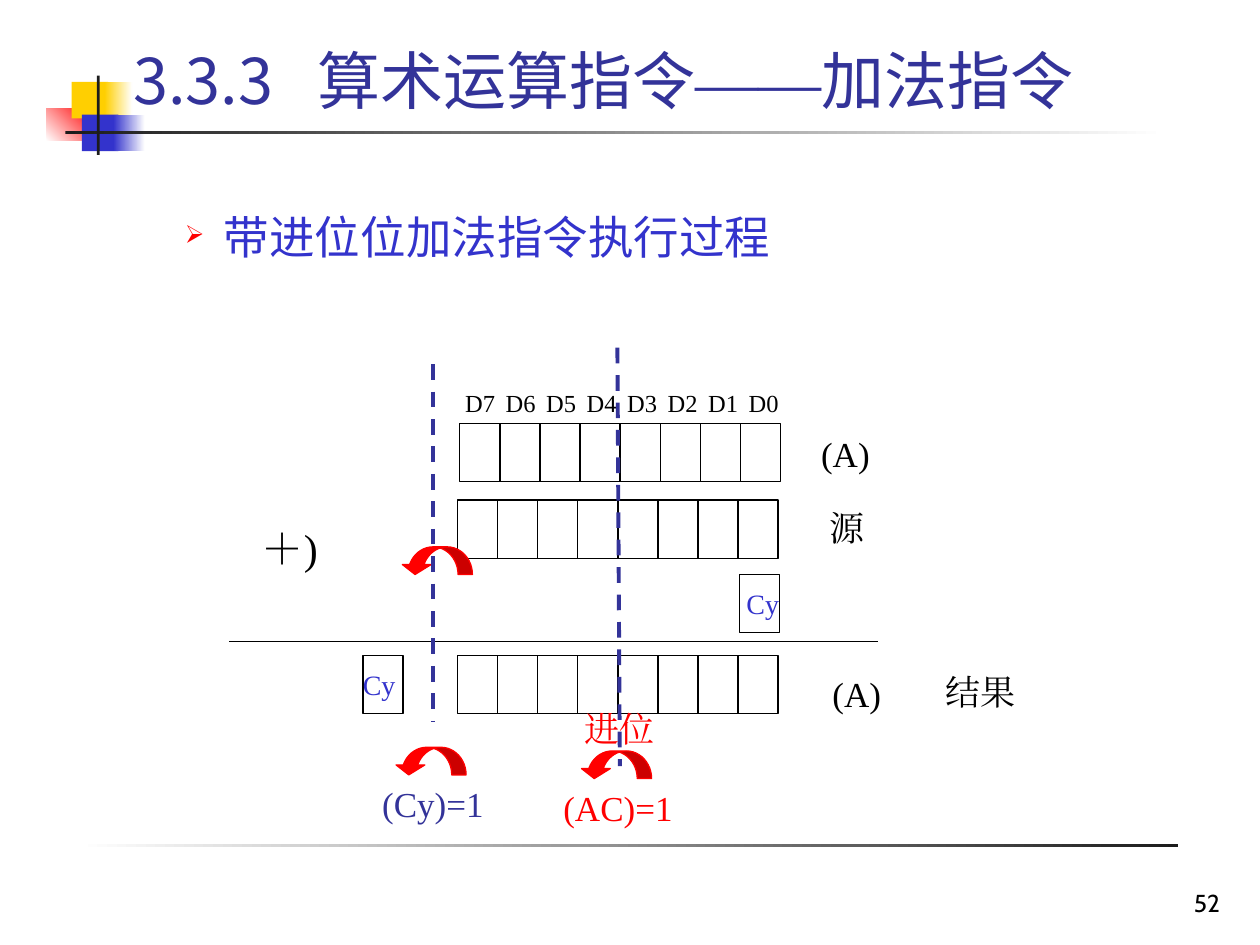
from typing import NamedTuple, Optional

from pptx import Presentation
from pptx.dml.color import RGBColor
from pptx.enum.dml import MSO_LINE
from pptx.enum.shapes import MSO_CONNECTOR, MSO_SHAPE
from pptx.enum.text import MSO_ANCHOR, MSO_AUTO_SIZE, PP_ALIGN
from pptx.oxml.xmlchemy import OxmlElement
from pptx.util import Pt

RECT, ARC_ARROW = MSO_SHAPE.RECTANGLE, MSO_SHAPE.CURVED_DOWN_ARROW
STRAIGHT, DASH = MSO_CONNECTOR.STRAIGHT, MSO_LINE.DASH
LEFT, CENTER, RIGHT = PP_ALIGN.LEFT, PP_ALIGN.CENTER, PP_ALIGN.RIGHT
TOP, MIDDLE, BOTTOM = MSO_ANCHOR.TOP, MSO_ANCHOR.MIDDLE, MSO_ANCHOR.BOTTOM
NO_FIT = MSO_AUTO_SIZE.NONE

SERIF, SANS, CJK = "Times New Roman", "Cabin", "Noto Sans CJK JP"
COLORS = {"white": "FFFFFF", "black": "000000", "ink": "1C1C1C", "red": "FF0000",
          "yellow": "FFCF01", "blue": "3333CC", "navy": "333399"}
BITS = 8
CELL_W, CELL_H = 22.9, 33.2


class Bar(NamedTuple):
    x: float
    y: float
    w: float
    h: float
    start: str
    end: Optional[str] = None
    angle: float = 0


class Label(NamedTuple):
    text: str
    x: float
    y: float
    w: float
    h: float = 31.5
    size: float = 20
    color: str = "black"


class Line(NamedTuple):
    x1: float
    y1: float
    x2: float
    y2: float
    color: str
    width: float
    dashed: bool = False


DECOR = [
    Bar(26.6, 61.9, 27.4, 18.7, "white", "red", 45),
    Bar(41, 46.8, 20.9, 20.9, "yellow"),
    Bar(59.8, 46.8, 15.8, 20.9, "yellow", "white"),
    Bar(46.8, 65.5, 20.9, 20.9, "blue"),
    Bar(64.8, 65.5, 18, 20.9, "blue", "white"),
    Bar(37.4, 74.9, 628.6, 1.5, "ink", "white"),
    Bar(55.4, 43.2, 1.5, 45.4, "ink"),
    Bar(44.6, 482.4, 628.6, 1.5, "white", "ink"),
]
REGISTERS = [(262.8, 241.9), (261.5, 285.8), (261.5, 374.4)]
LABELS = [
    Label("(A)", 462.2, 243.4, 41.8),
    Label("源", 464.4, 285.8, 38.9),
    Label("(A)", 468.7, 380.9, 41.8),
    Label("＋)", 139.7, 295.2, 51.8, 36, 24),
    Label("结果", 532.8, 379.4, 54.7),
    Label("进位", 326.9, 401, 54, color="red"),
    Label("(AC)=1", 313.2, 445.7, 79.9, color="red"),
    Label("(Cy)=1", 207.4, 443.5, 79.9, color="navy"),
]
LINES = [
    Line(131, 366.5, 501.8, 366.5, "black", 0.75),
    Line(352.8, 198.7, 354.2, 437.8, "navy", 2.25, True),
    Line(247.7, 208.1, 247.7, 412.6, "navy", 2.25, True),
]
CARRY_ARROWS = [(331.4, 429.1), (225.4, 427), (229, 312.5)]


def rgb(name: str) -> RGBColor:
    return RGBColor.from_string(COLORS[name])


def add_run(p, text: str, *, size: float, font: str, color: str) -> None:
    r = p.add_run()
    r.text = text
    r.font.size = Pt(size)
    r.font.name = font
    r.font.color.rgb = rgb(color)
    ea = OxmlElement("a:ea")
    ea.set("typeface", font)
    r.font._element.append(ea)


def write(tf, text: str, *, size: float, font: str = SERIF, color: str = "black",
          align=CENTER, anchor=TOP, wrap: bool = False,
          side_insets: tuple = (7.2, 7.2)):
    tf.word_wrap = wrap
    tf.auto_size = NO_FIT
    tf.vertical_anchor = anchor
    tf.margin_left, tf.margin_right = map(Pt, side_insets)
    tf.margin_top = tf.margin_bottom = Pt(3.6)
    p = tf.paragraphs[0]
    p.alignment = align
    add_run(p, text, size=size, font=font, color=color)
    return p


def add_text(s, text: str, x: float, y: float, w: float, h: float, **fmt):
    box = s.shapes.add_textbox(Pt(x), Pt(y), Pt(w), Pt(h))
    return write(box.text_frame, text, **fmt)


def add_bar(s, bar: Bar) -> None:
    sp = s.shapes.add_shape(RECT, Pt(bar.x), Pt(bar.y), Pt(bar.w), Pt(bar.h))
    sp.shadow.inherit = False
    sp.line.fill.background()
    if bar.end is None:
        sp.fill.solid()
        sp.fill.fore_color.rgb = rgb(bar.start)
        return
    sp.fill.gradient()
    sp.fill.gradient_angle = bar.angle
    for stop, color in zip(sp.fill.gradient_stops, (bar.start, bar.end)):
        stop.color.rgb = rgb(color)


def add_cell(s, x: float, y: float):
    sp = s.shapes.add_shape(RECT, Pt(x), Pt(y), Pt(CELL_W), Pt(CELL_H))
    sp.shadow.inherit = False
    sp.fill.background()
    sp.line.color.rgb = rgb("black")
    sp.line.width = Pt(0.75)
    return sp


def add_carry_flag(s, x: float, y: float, inset: float) -> None:
    write(add_cell(s, x, y).text_frame, "Cy", size=16, color="blue", align=LEFT,
          anchor=MIDDLE, side_insets=(inset, 0))


def add_line(s, line: Line) -> None:
    cn = s.shapes.add_connector(STRAIGHT, Pt(line.x1), Pt(line.y1), Pt(line.x2), Pt(line.y2))
    cn.line.color.rgb = rgb(line.color)
    cn.line.width = Pt(line.width)
    if line.dashed:
        cn.line.dash_style = DASH
    cn._element.spPr.append(OxmlElement("a:effectLst"))


def add_carry_arrow(s, x: float, y: float) -> None:
    sp = s.shapes.add_shape(ARC_ARROW, Pt(x), Pt(y), Pt(41), Pt(15.8))
    sp.shadow.inherit = False
    for i, value in enumerate((0.52, 1.04, 0.36)):
        sp.adjustments[i] = value
    sp._element.spPr.xfrm.set("flipH", "1")
    sp.fill.solid()
    sp.fill.fore_color.rgb = rgb("red")
    sp.line.color.rgb = rgb("red")
    sp.line.width = Pt(0.75)


def add_pr_child(parent, tag: str, **attrs: str):
    el = OxmlElement(tag)
    for name, value in attrs.items():
        el.set(name, value)
    parent.append(el)
    return el


def add_title(s) -> None:
    title = s.shapes.title
    title.left, title.top, title.width, title.height = Pt(69.1), Pt(15.1), Pt(599), Pt(60.5)
    fmt = {"size": 36, "color": "navy"}
    p = write(title.text_frame, "3.3.3\t算术运算指令", font=CJK, align=LEFT,
              anchor=MIDDLE, wrap=True, **fmt)
    tabs = add_pr_child(p._p.get_or_add_pPr(), "a:tabLst")
    add_pr_child(tabs, "a:tab", pos=str(Pt(105)), algn="l")
    add_run(p, "——", font=SERIF, **fmt)
    add_run(p, "加法指令", font=CJK, **fmt)


def add_bullet_heading(s) -> None:
    p = add_text(s, "带进位位加法指令执行过程", 62.6, 119.5, 606.2, 37.4, size=26,
                 font=SANS, color="blue", align=LEFT, wrap=True)
    p.line_spacing = 0.9
    pPr = p._p.get_or_add_pPr()
    pPr.set("marL", str(Pt(58.3)))
    pPr.set("indent", str(Pt(-22.3)))
    add_pr_child(add_pr_child(pPr, "a:buClr"), "a:srgbClr", val=COLORS["red"])
    add_pr_child(pPr, "a:buSzPct", val="55000")
    add_pr_child(pPr, "a:buChar", char="➢")


def main() -> None:
    prs = Presentation()
    prs.slide_width, prs.slide_height = Pt(720), Pt(540)
    s = prs.slides.add_slide(prs.slide_layouts[5])

    # Frame, title and heading
    for bar in DECOR:
        add_bar(s, bar)
    add_text(s, "52", 554.4, 491.8, 149.8, 36, size=14, font=SANS,
             align=RIGHT, anchor=BOTTOM, wrap=True)
    add_title(s)
    add_bullet_heading(s)

    # Registers and bit names
    for left, top in REGISTERS:
        for i in range(BITS):
            add_cell(s, left + i * CELL_W, top)
    for i in range(BITS):
        add_text(s, f"D{BITS - 1 - i}", 258.5 + i * 23.15, 218.2, 31.7, 24.5, size=14)
    add_carry_flag(s, 207.4, 374.4, 0)
    add_carry_flag(s, 422.6, 328.3, 4)

    # Carries, dividing lines and labels
    for x, y in CARRY_ARROWS:
        add_carry_arrow(s, x, y)
    for line in LINES:
        add_line(s, line)
    for lb in LABELS:
        add_text(s, lb.text, lb.x, lb.y, lb.w, lb.h, size=lb.size, color=lb.color)

    prs.save("out.pptx")


if __name__ == "__main__":
    main()
